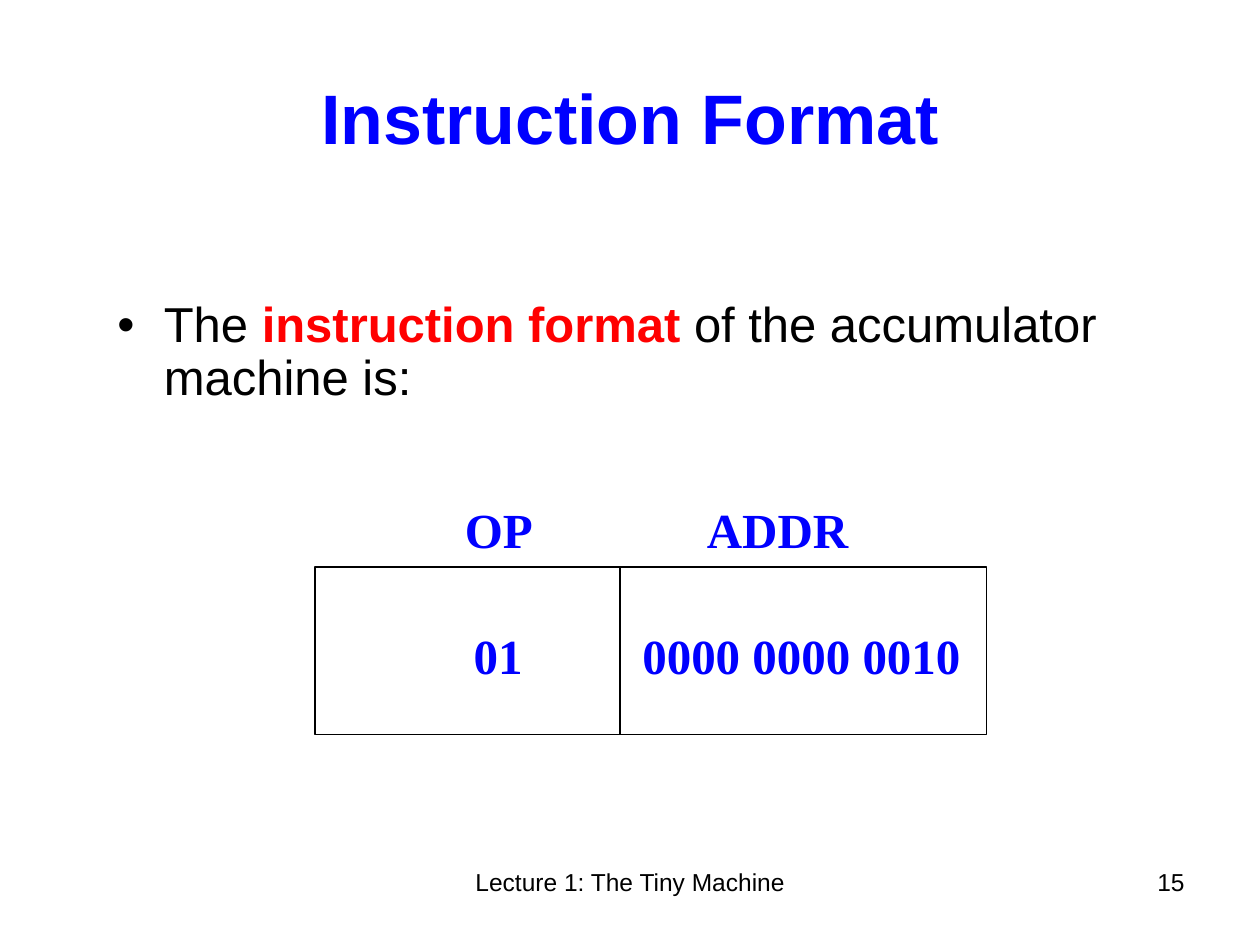
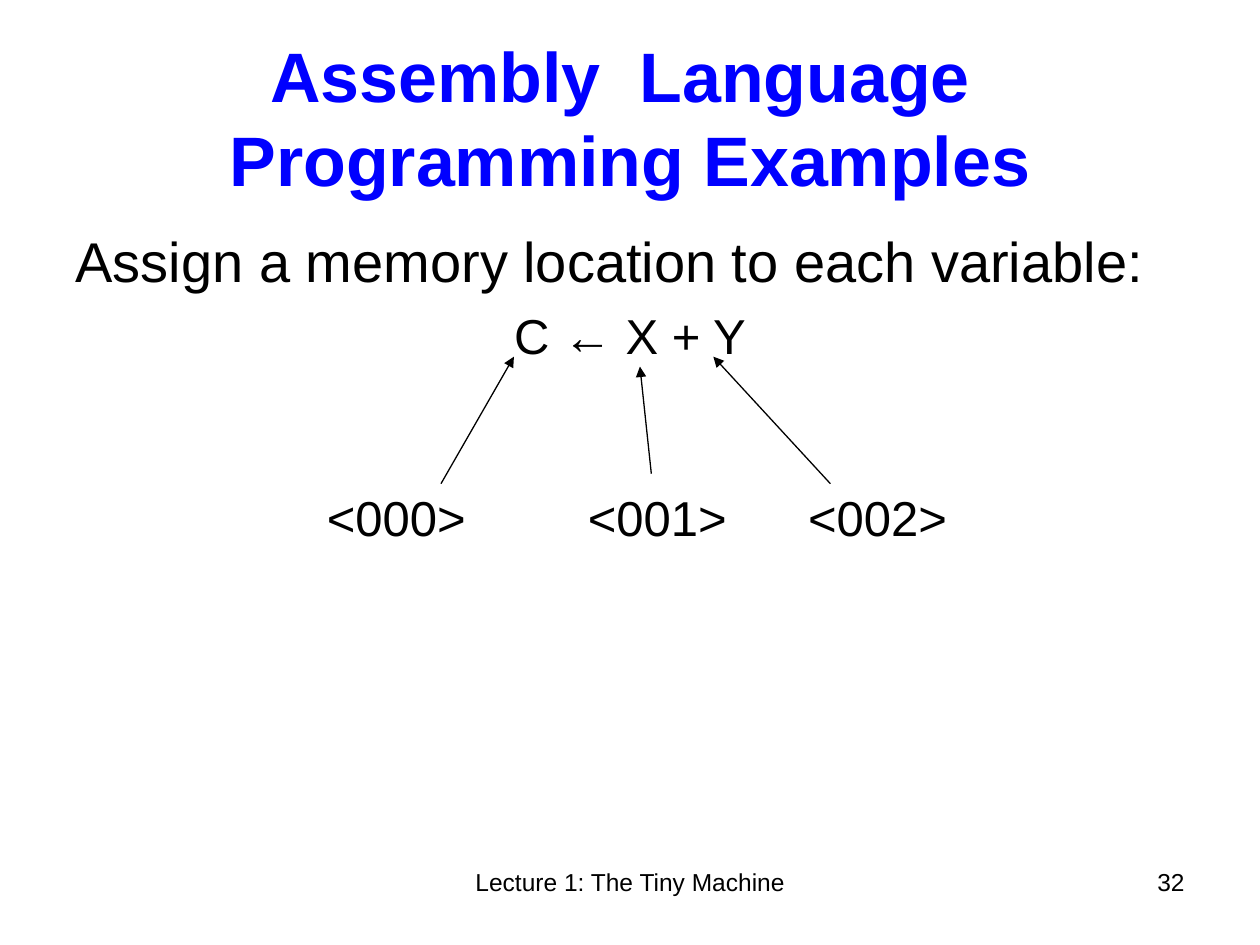
from lxml import etree
from pptx import Presentation
from pptx.dml.color import RGBColor
from pptx.enum.shapes import MSO_CONNECTOR, MSO_SHAPE
from pptx.enum.text import MSO_ANCHOR, MSO_AUTO_SIZE, PP_ALIGN
from pptx.oxml.ns import qn
from pptx.util import Cm, Pt

BLUE = RGBColor(0x00, 0x00, 0xFF)
RED = RGBColor(0xFF, 0x00, 0x00)
BLACK = RGBColor(0x00, 0x00, 0x00)
WHITE = RGBColor(0xFF, 0xFF, 0xFF)
SANS, SERIF = "Arial", "Times New Roman"
LEFT, CENTER, RIGHT = PP_ALIGN.LEFT, PP_ALIGN.CENTER, PP_ALIGN.RIGHT
MIDDLE, TOP = MSO_ANCHOR.MIDDLE, MSO_ANCHOR.TOP
FIXED = MSO_AUTO_SIZE.NONE
RECT, STRAIGHT = MSO_SHAPE.RECTANGLE, MSO_CONNECTOR.STRAIGHT
FOOTER = "Lecture 1: The Tiny Machine"


def put(frame, text, size=28, font=SANS, color=BLACK, bold=False, align=LEFT,
        before=0, lines=1.0, hang=0, bullet=None):
    """Add a paragraph; text between asterisks is red and bold."""
    para = frame.paragraphs[0]
    if para.runs:
        para = frame.add_paragraph()
    para.alignment = align
    para.space_before = Pt(before)
    para.line_spacing = lines
    props = para._p.get_or_add_pPr()
    props.set("marL", str(Cm(hang)))
    props.set("indent", str(-Cm(hang)))
    if bullet:
        etree.SubElement(props, qn("a:buChar"), char=bullet)
    else:
        etree.SubElement(props, qn("a:buNone"))
    for row, line in enumerate(text.split("\n")):
        if row:
            para.add_line_break()
            etree.SubElement(para._p[-1], qn("a:rPr"), sz=str(size * 100))
        for part, words in enumerate(line.split("*")):
            run = para.add_run()
            run.text = words
            run.font.name = font
            run.font.size = Pt(size)
            run.font.bold = bold or part % 2 == 1
            run.font.color.rgb = RED if part % 2 else color


def link(slide, x1, y1, x2, y2, arrow=False):
    """Draw a thin black line, with an arrowhead at its end if asked."""
    line = slide.shapes.add_connector(STRAIGHT, Cm(x1), Cm(y1), Cm(x2), Cm(y2))
    line.line.color.rgb = BLACK
    line.line.width = Pt(0.75)
    if arrow:
        etree.SubElement(line.line._get_or_add_ln(), qn("a:tailEnd"), type="triangle")
    etree.SubElement(line._element.spPr, qn("a:effectLst"))


prs = Presentation()
prs.slide_width, prs.slide_height = Cm(25.4), Cm(19.05)

# Shared frame: title, body box, footer and slide number
pages = [
    ("Instruction Format", "15", (2.11, 5.92, 22.1, 7.65), 0.14),
    ("Assembly  Language \nProgramming Examples", "32", (1.27, 4.45, 22.86, 12.57), 0.11),
]
slides = []
for title, number, area, inset in pages:
    slide = prs.slides.add_slide(prs.slide_layouts[1])
    head, body = slide.placeholders
    for holder, box in ((head, (1.27, 0.53, 22.86, 3.63)), (body, area)):
        holder.left, holder.top, holder.width, holder.height = map(Cm, box)
        holder.text_frame.auto_size = FIXED
    head.text_frame.vertical_anchor = MIDDLE
    body.text_frame.vertical_anchor = TOP
    body.text_frame.margin_top = Cm(inset)
    put(head.text_frame, title, size=40, color=BLUE, bold=True, align=CENTER)
    for text, left, width, align in ((FOOTER, 8.69, 8.03, CENTER),
                                     (number, 18.21, 5.92, RIGHT)):
        note = slide.shapes.add_textbox(Cm(left), Cm(17.35), Cm(width), Cm(1.3))
        note.text_frame.word_wrap = True
        put(note.text_frame, text, size=14, align=align)
    slides.append((slide, body.text_frame))

# Instruction format: word with two fields
slide, body = slides[0]
put(body, "The *instruction format* of the accumulator machine is:",
    lines=0.9, hang=0.94, bullet="•")
word = slide.shapes.add_shape(RECT, Cm(6.35), Cm(11.43), Cm(13.54), Cm(3.38))
word.shadow.inherit = False
word.fill.solid()
word.fill.fore_color.rgb = WHITE
word.line.color.rgb = BLACK
word.line.width = Pt(0.75)
link(slide, 12.5, 11.43, 12.5, 14.81)

for text, left, top, width in (("OP", 9.12, 9.94, 1.88), ("ADDR", 14, 9.94, 3.38),
                               ("01", 9.3, 12.48, 1.5),
                               ("0000 0000 0010", 12.7, 12.48, 6.93)):
    field = slide.shapes.add_textbox(Cm(left), Cm(top), Cm(width), Cm(1.45))
    field.text_frame.word_wrap = False
    put(field.text_frame, text, font=SERIF, color=BLUE, bold=True)

# Assembly example: an address and an arrow for each variable
slide, body = slides[1]
put(body, "Assign a memory location to each variable:", size=32)
put(body, "C ← X + Y", align=CENTER, before=7)
for text, mid, ends in (("<000>", 7.99, (8.89, 9.75, 10.36, 7.19)),
                        ("<001>", 13.25, (13.13, 9.55, 12.9, 7.39)),
                        ("<002>", 17.69, (16.74, 9.75, 14.38, 7.19))):
    cell = slide.shapes.add_textbox(Cm(mid - 2), Cm(9.7), Cm(4), Cm(1.45))
    cell.text_frame.word_wrap = True
    put(cell.text_frame, text, align=CENTER)
    link(slide, *ends, arrow=True)

prs.save("out.pptx")
